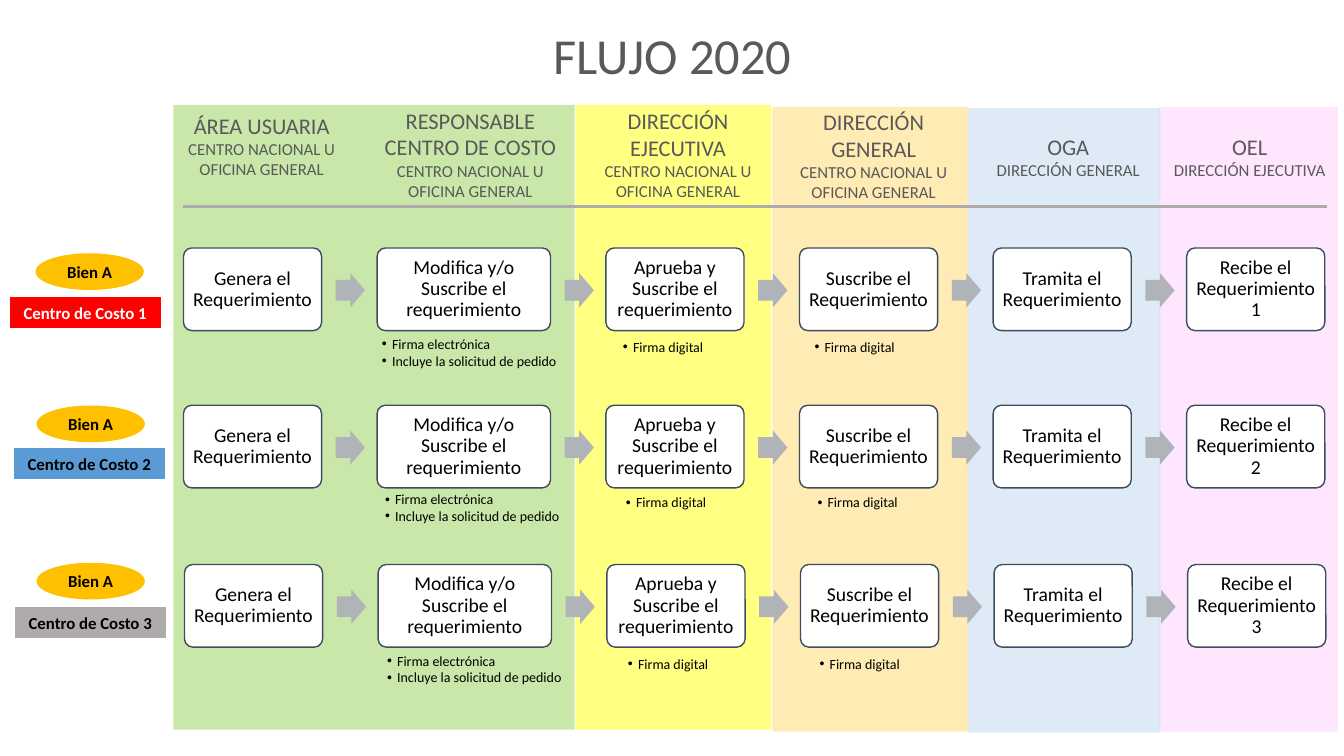
from pptx import Presentation
from pptx.dml.color import RGBColor as RGB
from pptx.enum.shapes import MSO_CONNECTOR as Line, MSO_SHAPE as Kind
from pptx.enum.text import MSO_ANCHOR as Anchor, PP_ALIGN as Align
from pptx.oxml.ns import qn
from pptx.util import Inches, Pt
from lxml import etree

HUES = {
    "green": "92D050", "yellow": "FFFF00", "gold": "FFD966", "sky": "BDD7EE",
    "pink": "FFCCFF", "white": "FFFFFF", "black": "000000", "navy": "3E4C60",
    "arrow": "B0B4B9", "red": "FF0000", "blue": "5B9BD5", "gray": "AFABAB",
    "amber": "FFC000", "title": "595959",
}
HUES = {name: RGB.from_string(code) for name, code in HUES.items()}


def draw(kind, box, fill, edge=None, width=1):
    shape = slide.shapes.add_shape(kind, *map(Inches, box))
    shape.shadow.inherit = False
    shape.fill.solid()
    shape.fill.fore_color.rgb = HUES[fill]
    if edge:
        shape.line.color.rgb = HUES[edge]
        shape.line.width = Pt(width)
    else:
        shape.line.fill.background()
    return shape


def write(shape, lines, hue, align=Align.CENTER, bold=False, space=1, **frame):
    for key, value in {"word_wrap": True, **frame}.items():
        setattr(shape.text_frame, key, value)
    for i, (text, size) in enumerate(lines):
        para = shape.text_frame.paragraphs[0] if i == 0 else shape.text_frame.add_paragraph()
        para.alignment = align
        para.line_spacing = space
        run = para.add_run()
        run.text = text
        for key, value in {"name": "Calibri", "size": Pt(size), "bold": bold}.items():
            setattr(run.font, key, value)
        run.font.color.rgb = HUES[hue]
    return shape


deck = Presentation()
deck.slide_width, deck.slide_height = Inches(13.33), Inches(7.5)
slide = deck.slides.add_slide(deck.slide_layouts[6])

bands = [
    (11.5, 1.06, 1.77, "pink"),
    (9.6, 1.07, 1.91, "sky"),
    (7.66, 1.06, 1.94, "gold"),
    (5.71, 1.04, 1.94, "yellow"),
    (1.72, 1.04, 3.98, "green"),
]
for left, top, wide, hue in bands:
    band = draw(Kind.RECTANGLE, (left, top, wide, 6.2), hue)
    color = band.fill._xPr.find(".//" + qn("a:srgbClr"))
    etree.SubElement(color, qn("a:alpha"), val="49000")

title = slide.shapes.add_textbox(*map(Inches, (5.38, 0.19, 2.58, 0.71)))
write(title, [("FLUJO 2020", 36)], "title", word_wrap=False)

unit = "CENTRO NACIONAL U OFICINA GENERAL"
heads = [
    (1.62, 1.06, 0.77, ["ÁREA USUARIA"], unit),
    (3.69, 1.01, 1.04, ["RESPONSABLE CENTRO DE COSTO"], unit),
    (5.75, 1.01, 1.31, ["DIRECCIÓN", "EJECUTIVA"], unit),
    (7.69, 1.02, 1.31, ["DIRECCIÓN", "GENERAL"], unit),
    (9.62, 1.27, 0.57, ["OGA"], "DIRECCIÓN GENERAL"),
    (11.42, 1.27, 0.57, ["OEL"], "DIRECCIÓN EJECUTIVA"),
]
for left, top, high, names, sub in heads:
    head = slide.shapes.add_textbox(*map(Inches, (left, top, 1.95, high)))
    write(head, [(name, 16) for name in names] + [(sub, 12)], "title")

rule = slide.shapes.add_connector(Line.STRAIGHT, *map(Inches, (1.82, 2.05, 13.16, 2.05)))
rule.line.color.rgb = HUES["gray"]
rule.line.width = Pt(2.25)
etree.SubElement(rule._element.spPr, qn("a:effectLst"))

steps = [
    ("Genera el Requerimiento", 1.37),
    ("Modifica y/o Suscribe el requerimiento", 1.72),
    ("Aprueba y Suscribe el requerimiento", 1.37),
    ("Suscribe el Requerimiento", 1.37),
    ("Tramita el Requerimiento", 1.37),
    ("Recibe el Requerimiento {}", 1.37),
]
notes = [
    (0, 0, 2.08, 0.44, ["Firma electrónica", "Incluye la solicitud de pedido"]),
    (2.39, 0.03, 1.18, 0.27, ["Firma digital"]),
    (4.29, 0.03, 1.18, 0.27, ["Firma digital"]),
]
rows = [
    (1.82, 2.46, (0.1, 2.95), (0.36, 2.52), (3.69, 3.28), "red", "white"),
    (1.82, 4.02, (0.14, 4.45), (0.37, 4.03), (3.72, 4.82), "blue", "black"),
    (1.83, 5.6, (0.15, 6.03), (0.37, 5.59), (3.74, 6.42), "gray", "black"),
]
inset = dict.fromkeys(["margin_left", "margin_right", "margin_top", "margin_bottom"], Inches(0.06))
flat = dict.fromkeys(inset, 0)

for num, (left, top, cost, good, note, hue, ink) in enumerate(rows, 1):
    for i, (text, wide) in enumerate(steps):
        step = draw(Kind.ROUNDED_RECTANGLE, (left, top, wide, 0.82), "white", "navy")
        step.adjustments[0] = 0.1
        write(step, [(text.format(num), 14)], "black", space=0.9,
              vertical_anchor=Anchor.MIDDLE, **inset)
        if i < len(steps) - 1:
            arrow = draw(Kind.RIGHT_ARROW, (left + wide + 0.14, top + 0.25, 0.29, 0.34), "arrow")
            arrow.adjustments[0] = 0.6
        left += wide + 0.55

    label = draw(Kind.RECTANGLE, (*cost, 1.49, 0.3), hue, hue, 0.75)
    write(label, [(f"Centro de Costo {num}", 12)], ink, bold=True, vertical_anchor=Anchor.TOP)
    oval = draw(Kind.OVAL, (*good, 1.06, 0.35), "amber", "amber")
    write(oval, [("Bien A", 12)], "black", bold=True, vertical_anchor=Anchor.MIDDLE, **flat)

    for right, down, wide, high, lines in notes:
        box = slide.shapes.add_textbox(*map(Inches, (note[0] + right, note[1] + down, wide, high)))
        write(box, [(line, 10) for line in lines], "black", Align.LEFT)
        for para in box.text_frame.paragraphs:
            props = para._p.get_or_add_pPr()
            props.set("marL", str(Inches(0.1)))
            props.set("indent", str(-Inches(0.1)))
            etree.SubElement(props, qn("a:buFont"), typeface="Arial")
            etree.SubElement(props, qn("a:buChar"), char="•")

deck.save("out.pptx")
